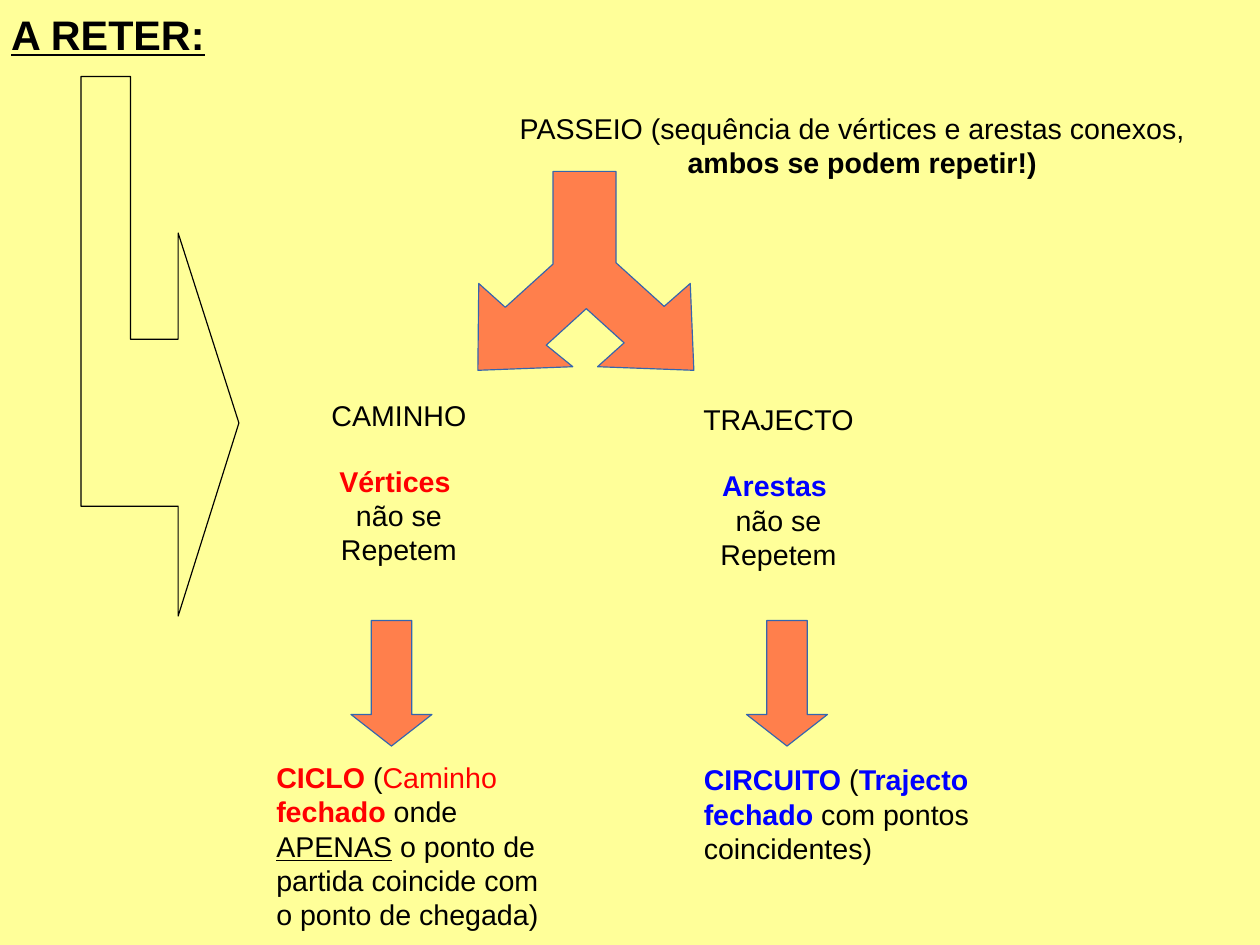
from lxml.etree import SubElement
from pptx import Presentation
from pptx.dml.color import RGBColor
from pptx.enum.shapes import MSO_SHAPE as Preset
from pptx.enum.text import MSO_ANCHOR as Anchor, PP_ALIGN as Align
from pptx.oxml.ns import qn
from pptx.util import Cm, Pt

COLORS = {"background": "FFFF99", "black": "000000", "red": "FF0000",
          "blue": "0000FF", "outline": "3465AF"}

# Content: paragraphs are lists of runs, (text, colour, style), b = bold, u = underlined
TITLE = [[("A RETER:", "black", "bu")]]
WALK = [[("PASSEIO (sequência de vértices e arestas conexos,", "black", "")],
        [("ambos se podem repetir!)", "black", "b")]]
BRANCHES = [  # name, what does not repeat, colour, box in cm
    ("CAMINHO", "Vértices ", "red", (7.11, 8.71, 3.51, 4.5)),
    ("TRAJECTO", "Arestas ", "blue", (15.37, 8.81, 3.86, 4.5)),
]
CLOSED = [  # runs, box in cm
    ([("CICLO", "red", "b"), (" (", "black", ""), ("Caminho ", "red", ""),
      ("fechado", "red", "b"), (" onde ", "black", ""), ("APENAS", "black", "u"),
      (" o ponto de partida coincide com o ponto de chegada)", "black", "")],
     (5.89, 16.76, 6.4, 3.78)),
    ([("CIRCUITO", "blue", "b"), (" (", "black", ""), ("Trajecto fechado", "blue", "b"),
      (" com pontos coincidentes)", "black", "")],
     (15.39, 16.81, 6.4, 3.07)),
]

# Outlines and arrow places in cm
BENT_ARROW = [(3.96, 5.18), (3.96, 7.54), (2.9, 7.54), (2.9, 1.7), (1.8, 1.7),
              (1.8, 11.25), (3.96, 11.25), (3.96, 13.69), (5.31, 9.4)]
FORK_ARROW = [(12.73, 8.15), (12.14, 7.67), (13.03, 6.86), (13.87, 7.62), (13.28, 8.15),
              (15.42, 8.23), (15.34, 6.3), (14.76, 6.81), (13.69, 5.84), (13.69, 3.81),
              (12.29, 3.81), (12.29, 5.87), (11.23, 6.83), (10.64, 6.3), (10.62, 8.23)]
DOWN_ARROW_LEFTS = [7.8, 16.59]

presentation = Presentation()
presentation.slide_width, presentation.slide_height = Cm(28), Cm(21)
slide = presentation.slides.add_slide(presentation.slide_layouts[6])


def color(name):
    return RGBColor.from_string(COLORS[name])


def add_text(paragraphs, box, size=18, align=Align.LEFT, wrap=True, top=0.13,
             gaps=None, indents=None):
    """gaps (points) and indents (cm) are keyed by paragraph number."""
    frame = slide.shapes.add_textbox(*map(Cm, box)).text_frame
    frame.word_wrap = wrap
    frame.vertical_anchor = Anchor.TOP
    frame.margin_top, frame.margin_bottom = Cm(top), Cm(0.13)
    frame.margin_left = frame.margin_right = Cm(0.25)
    for number, runs in enumerate(paragraphs):
        paragraph = frame.add_paragraph() if number else frame.paragraphs[0]
        paragraph.alignment = align
        paragraph.space_before = Pt((gaps or {}).get(number, 0))
        indent = (indents or {}).get(number, 0)
        paragraph._p.get_or_add_pPr().set("marL", str(Cm(indent)))
        for text, color_name, style in runs:
            run = paragraph.add_run()
            run.text = text
            font = run.font
            font.name, font.size = "Arial", Pt(size)
            font.bold, font.underline = "b" in style, "u" in style
            font.color.rgb = color(color_name)


def style_shape(shape, line, fill=None):
    shape.shadow.inherit = False
    shape.line.color.rgb = color(line)
    shape.line.width = Pt(0.75)
    if fill is None:
        shape.fill.background()
        return
    shape.fill.solid()
    shape.fill.fore_color.rgb = color(fill)
    srgb = shape._element.spPr.find(qn("a:solidFill")).find(qn("a:srgbClr"))
    SubElement(srgb, qn("a:alpha")).set("val", "50000")


def add_outline(points, **style):
    start, *rest = [(Cm(x), Cm(y)) for x, y in points]
    builder = slide.shapes.build_freeform(*start)
    builder.add_line_segments(rest, close=True)
    style_shape(builder.convert_to_shape(), **style)


# Background and title
slide.background.fill.solid()
slide.background.fill.fore_color.rgb = color("background")
add_text(TITLE, (0, 0.03, 17.27, 1.3), size=26, top=0.18)

# Large bent arrow and the starting concept
add_outline(BENT_ARROW, line="black")
add_text(WALK, (11.3, 2.34, 15.47, 1.68), indents={1: 3.73})

# Fork into the two branches
add_outline(FORK_ARROW, line="outline", fill="red")
for name, unique, accent, box in BRANCHES:
    lines = [(name, "black", ""), (unique, accent, "b"),
             ("não se", "black", ""), ("Repetem", "black", "")]
    add_text([[line] for line in lines], box, align=Align.CENTER, wrap=False, gaps={1: 20})

# Down arrows and the closed versions
for left in DOWN_ARROW_LEFTS:
    arrow = slide.shapes.add_shape(Preset.DOWN_ARROW, Cm(left), Cm(13.79), Cm(1.8), Cm(2.79))
    arrow.adjustments[0], arrow.adjustments[1] = 0.5, 0.39
    style_shape(arrow, line="outline", fill="red")
for runs, box in CLOSED:
    add_text([runs], box)

presentation.save("out.pptx")
